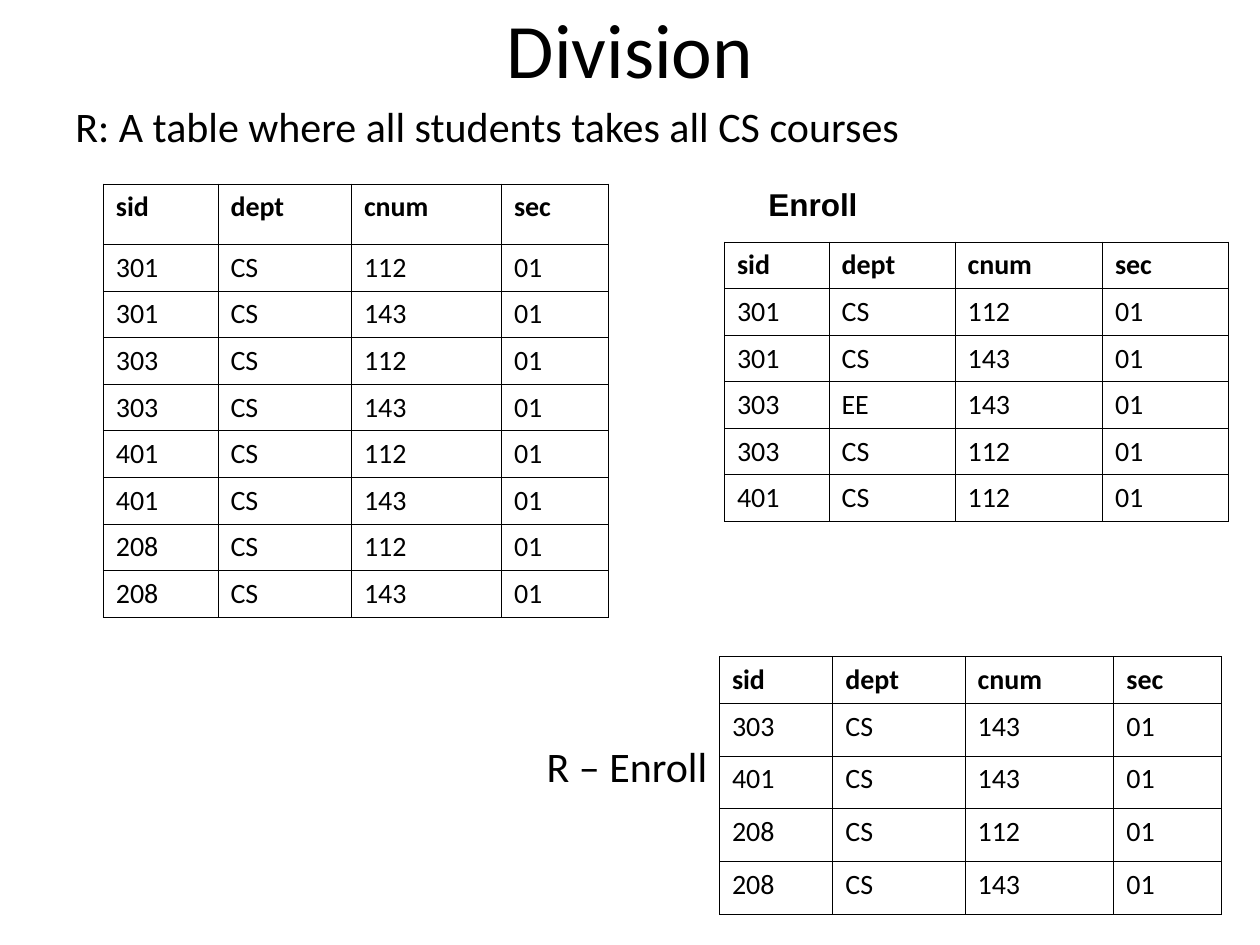
from lxml.etree import SubElement
from pptx import Presentation
from pptx.dml.color import RGBColor
from pptx.enum.text import MSO_ANCHOR as Anchor, PP_ALIGN as Align
from pptx.oxml.ns import qn
from pptx.util import Inches, Pt

BLACK = RGBColor(0x00, 0x00, 0x00)
HEADER = ("sid", "dept", "cnum", "sec")
SECTION = "01"
ROW_HEIGHT = 0.37


def write_text(frame, text, size=16, font="Calibri", bold=False, align=Align.LEFT):
    """Fill a text frame with one formatted paragraph."""
    para = frame.paragraphs[0]
    para.alignment = align
    span = para.add_run()
    span.text = text
    span.font.size = Pt(size)
    span.font.name = font
    span.font.bold = bold
    span.font.color.rgb = BLACK


def add_label(page, box, text, wrap=True, anchor=Anchor.TOP, **style):
    """Place a text box in the given box."""
    frame = page.shapes.add_textbox(*map(Inches, box)).text_frame
    frame.word_wrap = wrap
    frame.vertical_anchor = anchor
    write_text(frame, text, **style)


def outline_cell(cell):
    """Draw thin black borders around a cell with no fill."""
    properties = cell._tc.get_or_add_tcPr()
    for side in ("a:lnL", "a:lnR", "a:lnT", "a:lnB"):
        line = SubElement(properties, qn(side), w=str(Pt(0.45)))
        fill = SubElement(line, qn("a:solidFill"))
        SubElement(fill, qn("a:srgbClr"), val=str(BLACK))
    cell.fill.background()


def add_relation(page, left, top, widths, heights, courses):
    """Place a relation with a bold header and one row per enrolled course."""
    rows = [HEADER] + [(*course, SECTION) for course in courses]
    table = page.shapes.add_table(
        len(rows), len(HEADER), Inches(left), Inches(top),
        Inches(sum(widths)), Inches(sum(heights))).table
    table.first_row = table.horz_banding = False
    for column, width in zip(table.columns, widths):
        column.width = Inches(width)
    for index, (row, height, values) in enumerate(zip(table.rows, heights, rows)):
        row.height = Inches(height)
        for cell, value in zip(row.cells, values):
            outline_cell(cell)
            write_text(cell.text_frame, value, bold=index == 0)


def add_all_pairs(page, left, top):
    """Place R, which pairs every student with every CS course."""
    courses = [(sid, "CS", cnum) for sid in ("301", "303", "401", "208")
               for cnum in ("112", "143")]
    add_relation(page, left, top, (0.91, 1.06, 1.19, 0.85),
                 [0.48] + [ROW_HEIGHT] * len(courses), courses)


def add_enroll(page, left, top):
    """Place the Enroll relation under its name."""
    courses = [("301", "CS", "112"), ("301", "CS", "143"), ("303", "EE", "143"),
               ("303", "CS", "112"), ("401", "CS", "112")]
    add_label(page, (left + 0.25, top - 0.5, 2.33, 0.4), "Enroll",
              size=18, font="Arial", bold=True)
    add_relation(page, left, top, (0.83, 1, 1.17, 1),
                 [ROW_HEIGHT] * (len(courses) + 1), courses)


def add_difference(page, left, top):
    """Place R minus Enroll with its name on the left."""
    courses = [("303", "CS", "143"), ("401", "CS", "143"),
               ("208", "CS", "112"), ("208", "CS", "143")]
    add_relation(page, left, top, (0.9, 1.05, 1.18, 0.85),
                 [ROW_HEIGHT] + [0.42] * len(courses), courses)
    add_label(page, (left - 1.47, top + 0.62, 1.48, 0.5), "R – Enroll",
              wrap=False, size=24)


def main():
    """Build the division slide and save it."""
    deck = Presentation()
    deck.slide_width, deck.slide_height = Inches(10), Inches(7.5)
    page = deck.slides.add_slide(deck.slide_layouts[6])
    add_label(page, (0.5, -0.25, 9, 1.25), "Division", anchor=Anchor.MIDDLE,
              size=44, align=Align.CENTER)
    add_label(page, (0.5, 0.75, 6.79, 0.5),
              "R: A table where all students takes all CS courses", size=24)
    add_all_pairs(page, 0.82, 1.46)
    add_difference(page, 5.71, 5.21)
    add_enroll(page, 5.75, 1.92)
    deck.save("out.pptx")


if __name__ == "__main__":
    main()
